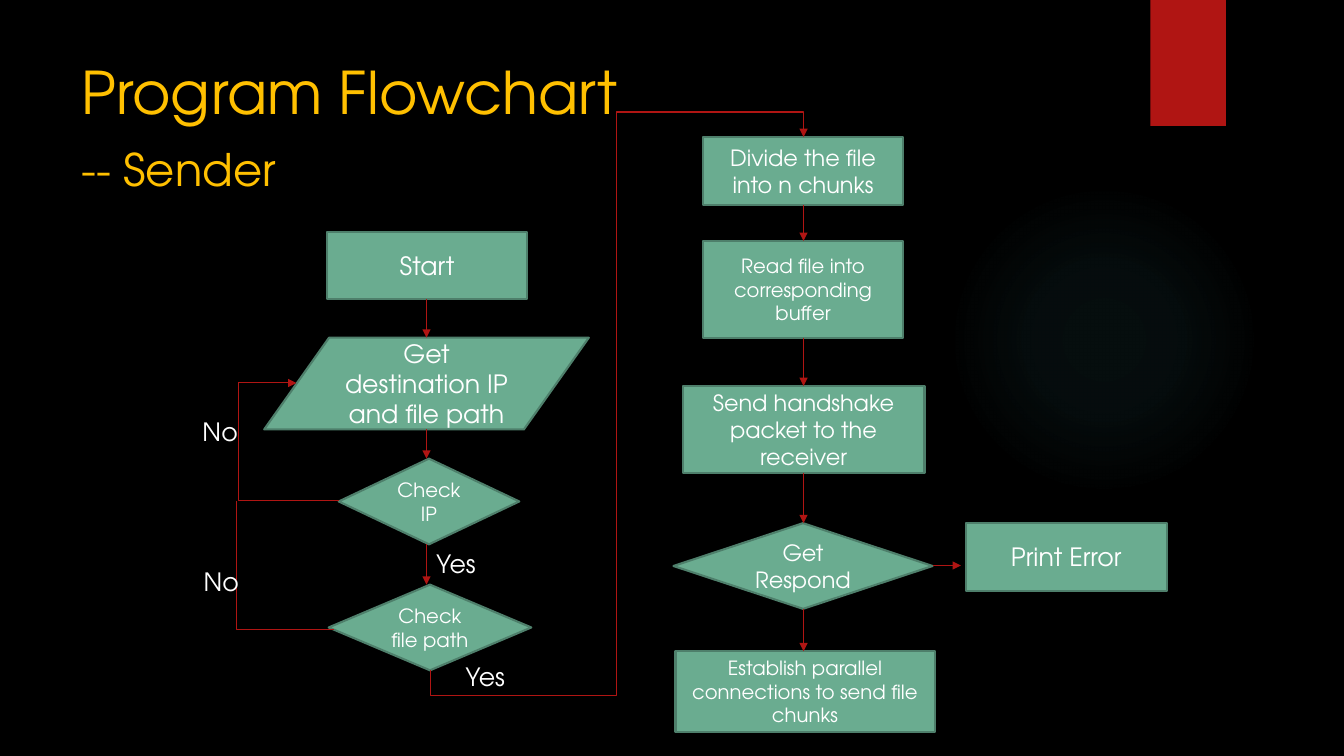
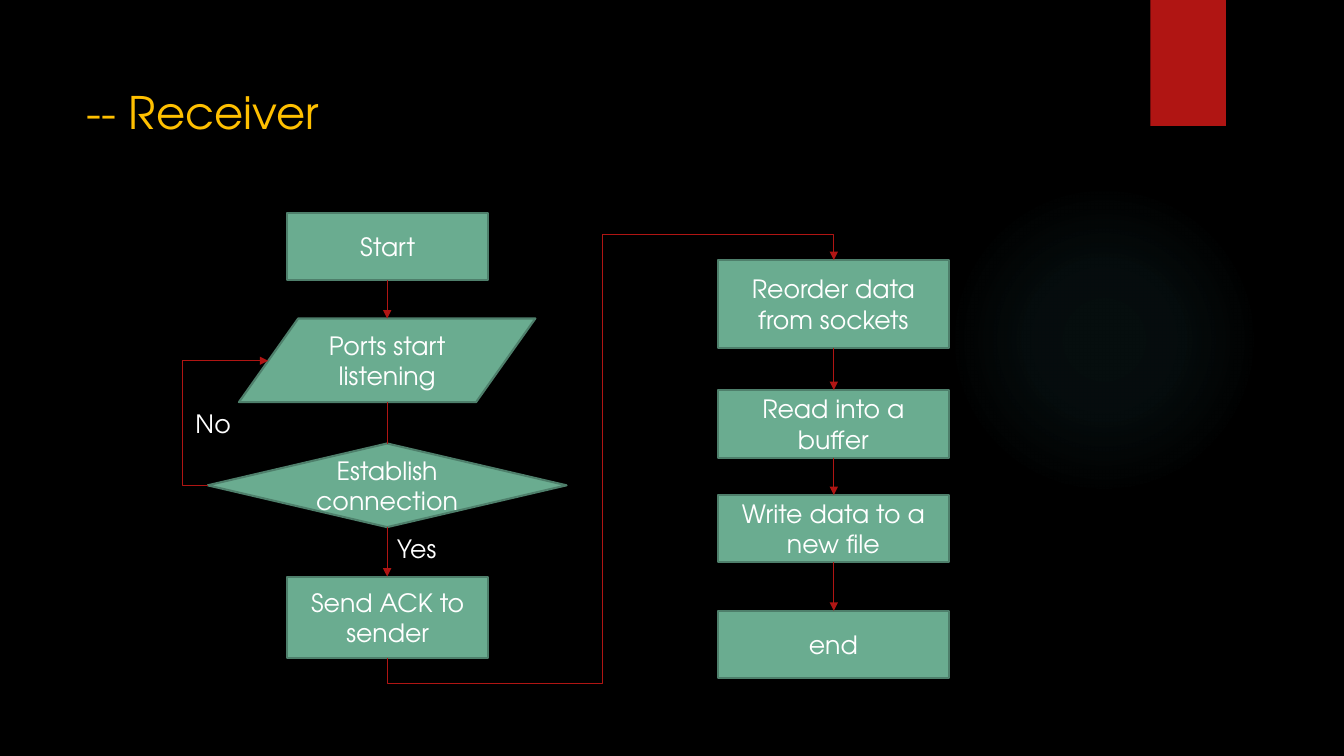
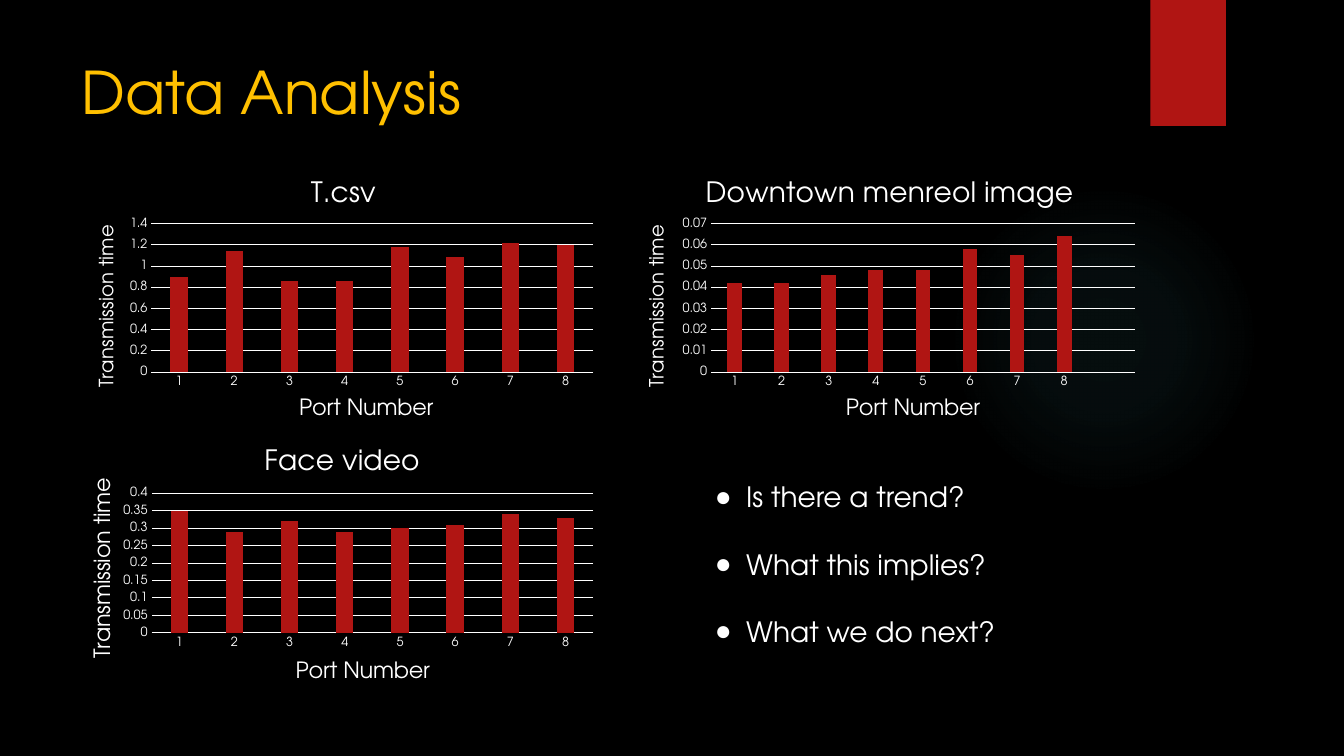
import dataclasses
import itertools

import pptx
import pptx.chart.data
import pptx.dml.color
import pptx.enum.chart
import pptx.enum.shapes
import pptx.enum.text
import pptx.oxml
import pptx.oxml.ns
import pptx.util

SHAPE = pptx.enum.shapes.MSO_SHAPE
ALIGN = pptx.enum.text.PP_ALIGN
ANCHOR = pptx.enum.text.MSO_ANCHOR
qn = pptx.oxml.ns.qn


@dataclasses.dataclass(frozen=True)
class Theme:
    font: str = "TeX Gyre Adventor"
    back: str = "000000"
    text: str = "FFFFFF"
    title: str = "FFC000"
    accent: str = "B01513"
    node: str = "6AAC90"
    node_edge: str = "4E7F6B"
    glow: str = "50B9C1"
    heading: int = 42
    subheading: int = 32
    list_size: int = 20
    body: int = 18
    compact: int = 16
    small: int = 14
    tick: int = 9
    grid_step: float = 0.1
    columns: float = 133.3
    rows: float = 75


THEME = Theme()


def grid(cells):
    return pptx.util.Inches(cells * THEME.grid_step)


def cells(*values):
    return [grid(value) for value in values]


def rgb(value):
    return pptx.dml.color.RGBColor.from_string(value)


def apply(target, **values):
    for name, value in values.items():
        setattr(target, name, value)


def xml(markup):
    return pptx.oxml.parse_xml(markup)


def drawing(tag, attributes="", content=""):
    return xml(f'<a:{tag} {pptx.oxml.ns.nsdecls("a")} {attributes}>{content}</a:{tag}>')


def paint(fill, color):
    fill.solid()
    fill.fore_color.rgb = rgb(color)


def style_font(font, size, color=THEME.text):
    apply(font, name=THEME.font, size=pptx.util.Pt(size), bold=False)
    font.color.rgb = rgb(color)


def write(frame, lines, size, color=THEME.text, align=ALIGN.LEFT, anchor=ANCHOR.TOP, gap=0):
    apply(frame, word_wrap=True, vertical_anchor=anchor,
          auto_size=pptx.enum.text.MSO_AUTO_SIZE.NONE)
    for index, line in enumerate(lines):
        para = frame.add_paragraph() if index else frame.paragraphs[0]
        apply(para, alignment=align, space_before=pptx.util.Pt(gap if index else 0))
        span = para.add_run()
        span.text = line
        style_font(span.font, size, color)


def place(shape, at):
    apply(shape, **dict(zip(("left", "top", "width", "height"), cells(*at))))


def add_title(page, text, at, size):
    place(page.shapes.title, at)
    write(page.shapes.title.text_frame, [text], size, THEME.title)


def add_label(page, text, at, size=THEME.body, color=THEME.text):
    box = page.shapes.add_textbox(*cells(*at))
    write(box.text_frame, [text], size, color)


def add_bullets(page, lines, at):
    body = page.placeholders[1]
    place(body, at)
    write(body.text_frame, lines, THEME.list_size, gap=24)
    for para in body.text_frame.paragraphs:
        properties = para._p.get_or_add_pPr()
        indent = grid(3.1)
        properties.set("marL", str(indent))
        properties.set("indent", str(-indent))
        properties.append(drawing("buChar", 'char="●"'))


def add_node(page, kind, text, at, size=THEME.body):
    node = page.shapes.add_shape(kind, *cells(*at))
    node.shadow.inherit = False
    paint(node.fill, THEME.node)
    paint(node.line.fill, THEME.node_edge)
    node.line.width = pptx.util.Pt(1.5)
    write(node.text_frame, [text], size, align=ALIGN.CENTER, anchor=ANCHOR.MIDDLE)
    return node


def add_line(page, kind, start, end, arrow=True):
    line = page.shapes.add_connector(kind, *cells(*start, *end))
    line.line.width = pptx.util.Pt(0.75)
    paint(line.line.fill, THEME.accent)
    properties = line.element.spPr
    if arrow:
        properties.find(qn("a:ln")).append(drawing("tailEnd", 'type="triangle"'))
    properties.append(drawing("effectLst"))
    return line


def add_arrow(page, start, end, arrow=True):
    add_line(page, pptx.enum.shapes.MSO_CONNECTOR.STRAIGHT, start, end, arrow)


def link_down(page, column, nodes, plain=()):
    for index, (upper, lower) in enumerate(itertools.pairwise(nodes)):
        edge = (upper.top + upper.height) / grid(1)
        add_arrow(page, (column, edge), (column, lower.top / grid(1)), index not in plain)


def add_elbow(page, start, end, shares, arrow=True):
    elbow = add_line(page, pptx.enum.shapes.MSO_CONNECTOR.ELBOW, start, end, arrow)
    preset = elbow.element.spPr.find(qn("a:prstGeom"))
    preset.set("prst", f"bentConnector{len(shares) + 2}")
    guides = preset.find(qn("a:avLst"))
    for number, share in enumerate(shares, 1):
        value = round(share * 100000)
        guides.append(drawing("gd", f'name="adj{number}" fmla="val {value}"'))
    return elbow


def add_return(page, start, end, turn, arrow=True):
    share = (turn - start[0]) / (end[0] - start[0])
    add_elbow(page, start, end, [share], arrow)


def add_column_jump(page, start, end, turn, overshoot=2.5):
    (left, bottom), (right, top) = start, end
    width, height = right - left, bottom - top
    middle, center = (left + right) / 2, (top + bottom) / 2
    shares = [-overshoot / height, (turn - left) / width, 1 + overshoot / height]
    jump = add_elbow(page, (middle + height / 2, center + width / 2),
                     (middle - height / 2, center - width / 2), shares)
    jump.element.spPr.find(qn("a:xfrm")).set("rot", str(90 * 60000))


def set_layout(parent, index, inner=False, **shares):
    for old in parent.findall(qn("c:layout")):
        parent.remove(old)
    target = '<c:layoutTarget val="inner"/>' if inner else ""
    modes = "".join(f'<c:{name}Mode val="edge"/>' for name in ("x", "y"))
    values = "".join(f'<c:{name} val="{value}"/>' for name, value in shares.items())
    parent.insert(index, xml(
        f'<c:layout {pptx.oxml.ns.nsdecls("c")}><c:manualLayout>{target}{modes}{values}'
        "</c:manualLayout></c:layout>"))


def set_chart_title(title, text, size, x, y):
    para = title.text_frame.paragraphs[0]
    span = para.add_run()
    span.text = text
    style_font(span.font, size)
    set_layout(title.element, 1, x=x, y=y)


def clear_fill(parent, after=None):
    shape = xml(f'<c:spPr {pptx.oxml.ns.nsdecls("c", "a")}><a:noFill/>'
                "<a:ln><a:noFill/></a:ln></c:spPr>")
    if after is None:
        parent.append(shape)
    else:
        after.addnext(shape)


def add_columns(page, at, title, title_at, values, scale, plot_at, side_at, side_size, spare=0):
    data = pptx.chart.data.CategoryChartData()
    data.categories = [str(port + 1) for port in range(len(values))] + [""] * spare
    data.add_series("Series 1", values + [None] * spare)
    chart = page.shapes.add_chart(
        pptx.enum.chart.XL_CHART_TYPE.COLUMN_CLUSTERED, *cells(*at), data).chart
    style_font(chart.font, 10)
    chart.has_legend = False
    plot = chart.plots[0]
    apply(plot, gap_width=219, overlap=-27, vary_by_categories=False)
    paint(plot.series[0].format.fill, THEME.accent)

    ports, times = chart.category_axis, chart.value_axis
    for axis in (ports, times):
        axis.major_tick_mark = pptx.enum.chart.XL_TICK_MARK.NONE
        style_font(axis.tick_labels.font, THEME.tick)
    apply(times, minimum_scale=0, maximum_scale=scale[0], major_unit=scale[1],
          has_major_gridlines=True)
    times.format.line.fill.background()
    for line in (ports.format.line, times.major_gridlines.format.line):
        paint(line.fill, THEME.text)
        line.width = pptx.util.Pt(0.75)

    set_chart_title(chart.chart_title, title, THEME.list_size, *title_at)
    set_chart_title(ports.axis_title, "Port Number", THEME.compact, 0.42, 0.83)
    set_chart_title(times.axis_title, "Transmission time", side_size, *side_at)
    turned = times.axis_title.element.find(".//" + qn("a:bodyPr"))
    turned.set("rot", str(-90 * 60000))
    turned.set("vert", "horz")

    area = chart.element.find(".//" + qn("c:plotArea"))
    set_layout(area, 0, inner=True, **dict(zip("xywh", plot_at)))
    clear_fill(area)
    clear_fill(chart.element, chart.element.find(qn("c:chart")))


def decorate_master(deck, page):
    master = deck.slide_master
    paint(master.background.fill, THEME.back)
    glow = page.shapes.add_shape(SHAPE.OVAL, *cells(94.1, 18.3, 30.8, 30.8))
    band = page.shapes.add_shape(SHAPE.RECTANGLE, *cells(114.1, 0, 7.5, 12.5))
    paint(band.fill, THEME.accent)
    stops = "".join(
        f'<a:gs pos="{place * 1000}"><a:srgbClr val="{THEME.glow}">'
        f'<a:alpha val="{alpha * 1000}"/></a:srgbClr></a:gs>'
        for place, alpha in ((0, 7), (36, 6), (69, 0), (100, 0)))
    center = '<a:fillToRect l="50000" t="50000" r="50000" b="50000"/>'
    glow.element.spPr.find(qn("a:prstGeom")).addnext(drawing(
        "gradFill", "", f'<a:gsLst>{stops}</a:gsLst><a:path path="circle">{center}</a:path>'))
    for index, shape in enumerate((glow, band)):
        shape.shadow.inherit = False
        shape.line.fill.background()
        master.shapes.element.insert(2 + index, shape.element)


def build_sender(page):
    add_title(page, "Program Flowchart", (7.1, 5, 102.9, 9.2), THEME.heading)
    add_label(page, "-- Sender", (7.1, 13.6, 102.9, 6.8), THEME.subheading, THEME.title)
    process, decision = SHAPE.FLOWCHART_PROCESS, SHAPE.FLOWCHART_DECISION
    checks = [add_node(page, *node) for node in (
        (process, "Start", (32.4, 23, 19.9, 6.7)),
        (SHAPE.FLOWCHART_DATA, "Get destination IP and file path", (26.2, 33.5, 32.2, 9.1)),
        (decision, "Check IP", (33.6, 45.5, 17.9, 8.5), THEME.small),
        (decision, "Check file path", (32.6, 58, 20.1, 8.5), THEME.small))]
    transfer = [add_node(page, *node) for node in (
        (process, "Divide the file into n chunks", (69.7, 13.6, 19.9, 6.7), THEME.compact),
        (process, "Read file into corresponding buffer", (69.7, 23.9, 19.9, 9.6), THEME.small),
        (process, "Send handshake packet to the receiver", (67.7, 38.3, 24, 8.6), THEME.compact),
        (decision, "Get Respond", (66.8, 51.9, 25.7, 8.5), THEME.compact),
        (process, "Establish parallel connections to send file chunks",
         (67, 64.6, 25.7, 8), THEME.small))]
    add_node(page, process, "Print Error", (95.8, 51.9, 19.9, 6.7))
    link_down(page, 42.3, checks)
    link_down(page, 79.7, transfer)
    add_arrow(page, (92.5, 56.1), (95.3, 56.1))
    add_return(page, (33.6, 49.7), (29.4, 38), 23.7)
    add_return(page, (33.1, 62.5), (23.5, 49.7), 23.5, arrow=False)
    add_column_jump(page, (42.7, 66.5), (79.7, 13.6), 61.2)
    for text, left, top in (("Yes", 42.3, 53.9), ("No", 19.1, 40.8),
                            ("No", 19.2, 55.7), ("Yes", 45.2, 65.1)):
        add_label(page, text, (left, top, 11.5, 4))


def build_receiver(page):
    add_title(page, "-- Receiver", (7.6, 7.9, 102.9, 7.9), THEME.subheading)
    process = SHAPE.FLOWCHART_PROCESS
    listen = [add_node(page, *node) for node in (
        (process, "Start", (28.5, 21.1, 19.9, 6.7)),
        (SHAPE.FLOWCHART_DATA, "Ports start listening", (23.7, 31.6, 29.4, 8.3)),
        (SHAPE.FLOWCHART_DECISION, "Establish connection", (20.6, 44, 35.6, 8.3)),
        (process, "Send ACK to sender", (28.5, 57.2, 19.9, 8.1)))]
    store = [add_node(page, process, text, (71.2, top, 22.9, height))
             for text, top, height in (
                 ("Reorder data from sockets", 25.8, 8.7), ("Read into a buffer", 38.7, 6.7),
                 ("Write data to a new file", 49.1, 6.7), ("end", 60.6, 6.7))]
    link_down(page, 38.4, listen, plain=(1,))
    link_down(page, 82.7, store)
    add_return(page, (20.6, 48.2), (26.6, 35.8), 18.1)
    add_column_jump(page, (38.4, 65.3), (82.7, 25.8), 59.8)
    add_label(page, "Yes", (38.4, 52.4, 7.3, 4))
    add_label(page, "No", (18.4, 40, 7.3, 4))


def build_analysis(page):
    add_title(page, "Data Analysis", (7.1, 5, 102.9, 10), THEME.heading)
    add_columns(page, (7.1, 15.8, 52.8, 27.8), "T.csv", (0.44, 0.05),
                [0.9, 1.14, 0.86, 0.86, 1.18, 1.09, 1.22, 1.2], (1.4, 0.2),
                (0.15, 0.23, 0.83, 0.53), (0.04, 0.22), THEME.small)
    add_columns(page, (61.7, 15.8, 51.9, 27.8), "Downtown menreol image", (0.15, 0.05),
                [0.042, 0.042, 0.046, 0.048, 0.048, 0.058, 0.055, 0.064], (0.07, 0.01),
                (0.17, 0.23, 0.81, 0.53), (0.04, 0.22), THEME.small, spare=1)
    add_columns(page, (6.5, 42.4, 53.4, 27.2), "Face video", (0.36, 0.05),
                [0.35, 0.29, 0.32, 0.29, 0.3, 0.31, 0.34, 0.33], (0.4, 0.05),
                (0.16, 0.24, 0.82, 0.51), (0.04, 0.17), THEME.compact)
    add_bullets(page, ["Is there a trend?", "What this implies?", "What we do next?"],
                (69.9, 47.1, 41.5, 17.8))


def main():
    deck = pptx.Presentation()
    apply(deck, slide_width=grid(THEME.columns), slide_height=grid(THEME.rows))
    title_only, title_and_list = deck.slide_layouts[5], deck.slide_layouts[1]
    builders = ((build_sender, title_only), (build_receiver, title_only),
                (build_analysis, title_and_list))
    for index, (build, layout) in enumerate(builders):
        page = deck.slides.add_slide(layout)
        if index == 0:
            decorate_master(deck, page)
        build(page)
    deck.save("out.pptx")


if __name__ == "__main__":
    main()
